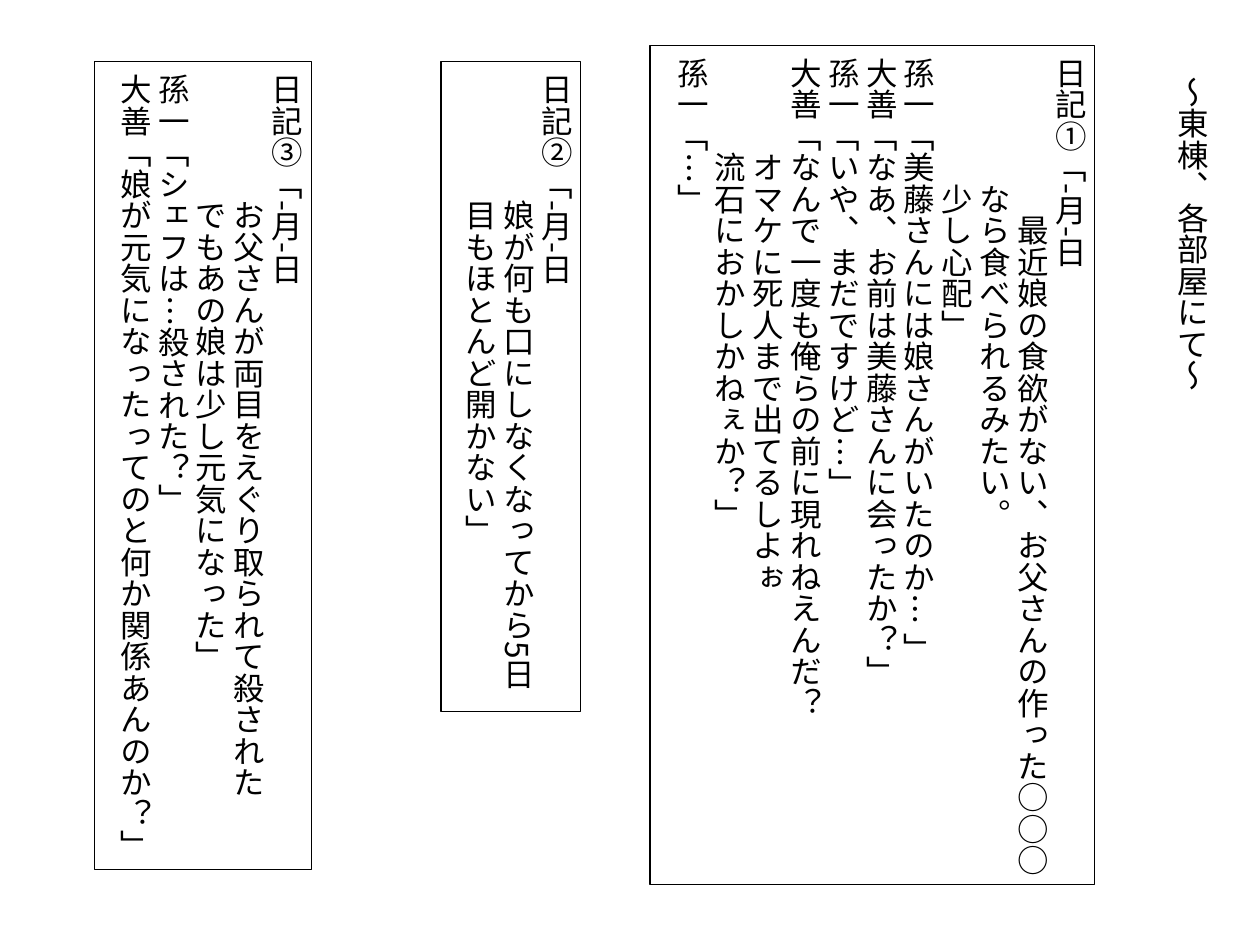
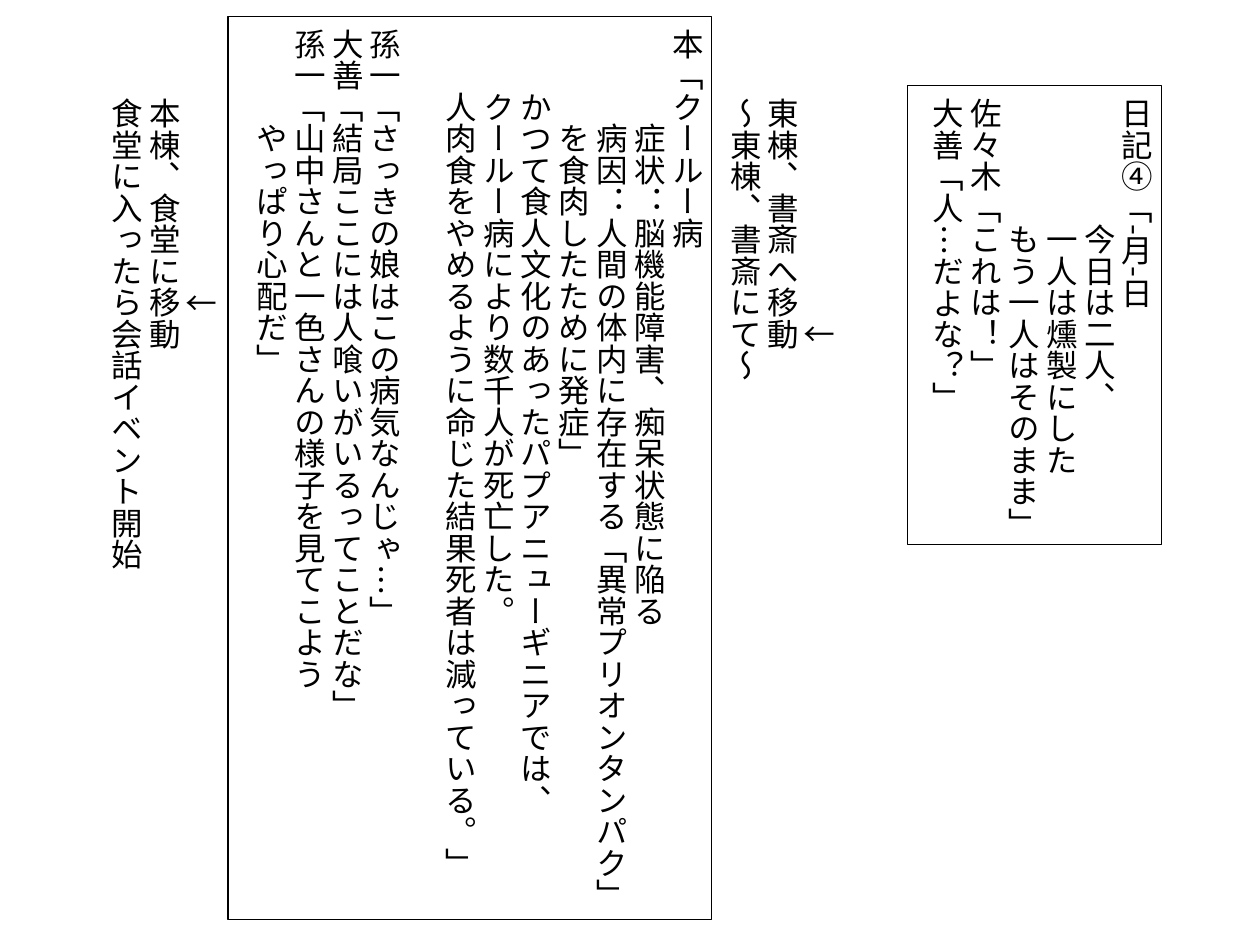
from lxml import etree
from pptx import Presentation
from pptx.dml.color import RGBColor
from pptx.enum import text
from pptx.oxml.ns import qn
from pptx.util import Inches, Pt

INK = RGBColor(0x00, 0x00, 0x00)
FONT = "Noto Sans CJK JP"
SIZE = 18
CHARACTER = SIZE / 72  # inches taken by one full-width character
LINE_GAP = 21.5        # points, one empty column

# Each line is (indent in characters, words); None leaves one column empty.
SLIDES = [
    [
        dict(at=(5.16, 0.36, 3.53, 6.66), border=True, lines=[
            (0, "日記①「-月-日"),
            (5, "最近娘の食欲がない、お父さんの作った○○○"),
            (4, "なら食べられるみたい。"),
            (4, "少し心配」"),
            (0, "孫一「美藤さんには娘さんがいたのか… 」"),
            (0, "大善「なあ、お前は美藤さんに会ったか？」"),
            (0, "孫一「いや、まだですけど…」"),
            (0, "大善「なんで一度も俺らの前に現れねえんだ？"),
            (3, "オマケに死人まで出てるしよぉ"),
            (3, "流石におかしかねぇか？」"),
            (0, "孫一「…」"),
        ]),
        dict(at=(3.5, 0.49, 1.11, 5.16), border=True, lines=[
            (0, "日記②「-月-日"),
            (4, "娘が何も口にしなくなってから5日"),
            (4, "目もほとんど開かない」"),
        ]),
        dict(at=(0.75, 0.49, 1.72, 6.41), border=True, lines=[
            (0, "日記③「-月-日"),
            (4, "お父さんが両目をえぐり取られて殺された"),
            (4, "でもあの娘は少し元気になった」"),
            (0, "孫一「シェフは…殺された？」"),
            (0, "大善「娘が元気になったってのと何か関係あんのか？」"),
        ]),
        dict(at=(9.16, 0.51, 0.5, 2.63), lines=[
            (0, "～東棟、各部屋にて～"),
        ]),
    ],
    [
        dict(at=(7.2, 0.68, 2.02, 3.64), border=True, lines=[
            (0, "日記④「-月-日"),
            (4, "今日は二人、"),
            (4, "一人は燻製にした"),
            (4, "もう一人はそのまま」"),
            (0, "佐々木「これは！」"),
            (0, "大善「人…だよな？」"),
        ]),
        dict(at=(5.6, 0.68, 1.11, 2.37), lines=[
            (7, "↓"),
            (0, "東棟、書斎へ移動"),
            (0, "～東棟、書斎にて～"),
        ]),
        dict(at=(1.81, 0.13, 3.84, 7.17), border=True, lines=[
            (0, "本「クールー病"),
            (3, "症状：脳機能障害、痴呆状態に陥る"),
            (3, "病因：人間の体内に存在する「異常プリオンタンパク」"),
            (3, "を食肉したために発症」"),
            (2, "かつて食人文化のあったパプアニューギニアでは、"),
            (2, "クールー病により数千人が死亡した。"),
            (2, "人肉食をやめるように命じた結果死者は減っている。」"),
            None,
            (0, "孫一「さっきの娘はこの病気なんじゃ…」"),
            (0, "大善「結局ここには人喰いがいるってことだな」"),
            (0, "孫一「山中さんと一色さんの様子を見てこよう"),
            (3, "やっぱり心配だ」"),
        ]),
        dict(at=(0.69, 0.68, 1.11, 6.41), wrap=True, lines=[
            (6, "↓"),
            (0, "本棟、食堂に移動"),
            (0, "食堂に入ったら会話イベント開始"),
        ]),
    ],
]


def write_line(paragraph, words, indent=0, gap=0, size=SIZE, color=INK):
    paragraph.space_before = Pt(gap)
    properties = paragraph._p.get_or_add_pPr()
    properties.set("marL", str(Inches(indent * CHARACTER)))
    properties.set("indent", "0")
    run = paragraph.add_run()
    run.text = words
    run.font.size = Pt(size)
    run.font.name = FONT
    run.font.color.rgb = color
    east_asian = etree.SubElement(run._r.get_or_add_rPr(), qn("a:ea"))
    east_asian.set("typeface", FONT)


def add_script(slide, at, lines, border=False, wrap=False):
    """Add a block of vertical text whose columns run from right to left."""
    block = slide.shapes.add_textbox(*map(Inches, at))
    if border:
        block.line.color.rgb = INK
        block.line.width = Pt(0.75)
    frame = block.text_frame
    frame.word_wrap = wrap
    frame.auto_size = text.MSO_AUTO_SIZE.SHAPE_TO_FIT_TEXT
    frame._txBody.bodyPr.set("vert", "eaVert")
    gap = 0
    for number, line in enumerate(lines):
        if line is None:
            gap = LINE_GAP
            continue
        indent, words = line
        paragraph = frame.add_paragraph() if number else frame.paragraphs[0]
        write_line(paragraph, words, indent=indent, gap=gap)
        gap = 0


def main():
    deck = Presentation()
    deck.slide_width, deck.slide_height = Inches(10), Inches(7.5)
    for scripts in SLIDES:
        slide = deck.slides.add_slide(deck.slide_layouts[6])
        for script in scripts:
            add_script(slide, **script)
    deck.save("out.pptx")


if __name__ == "__main__":
    main()
